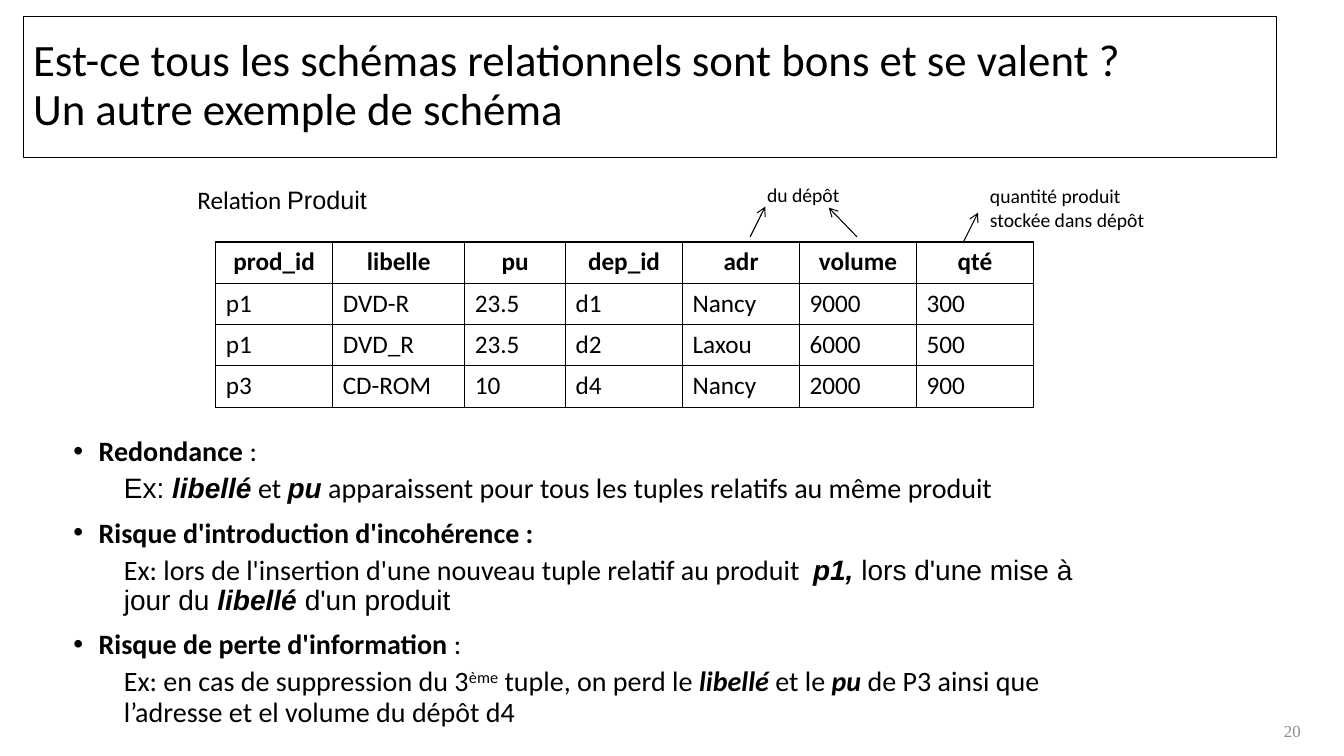
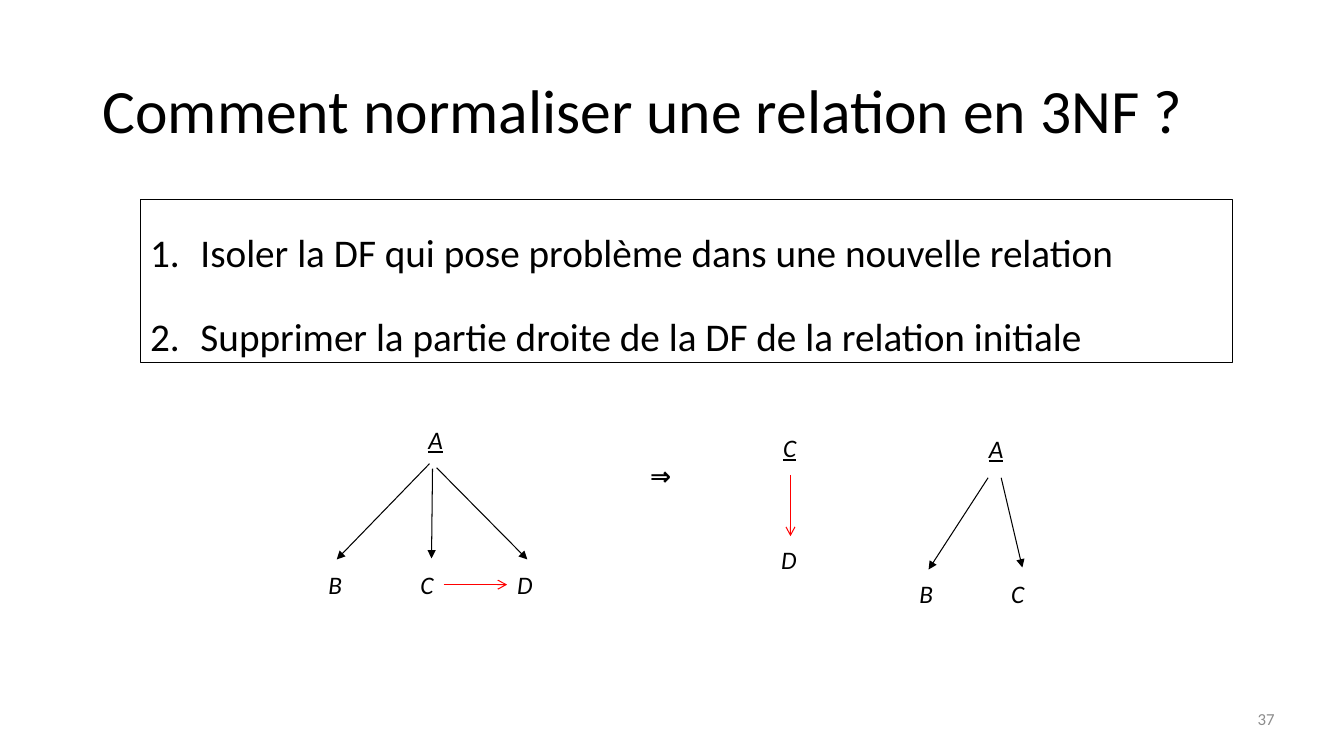
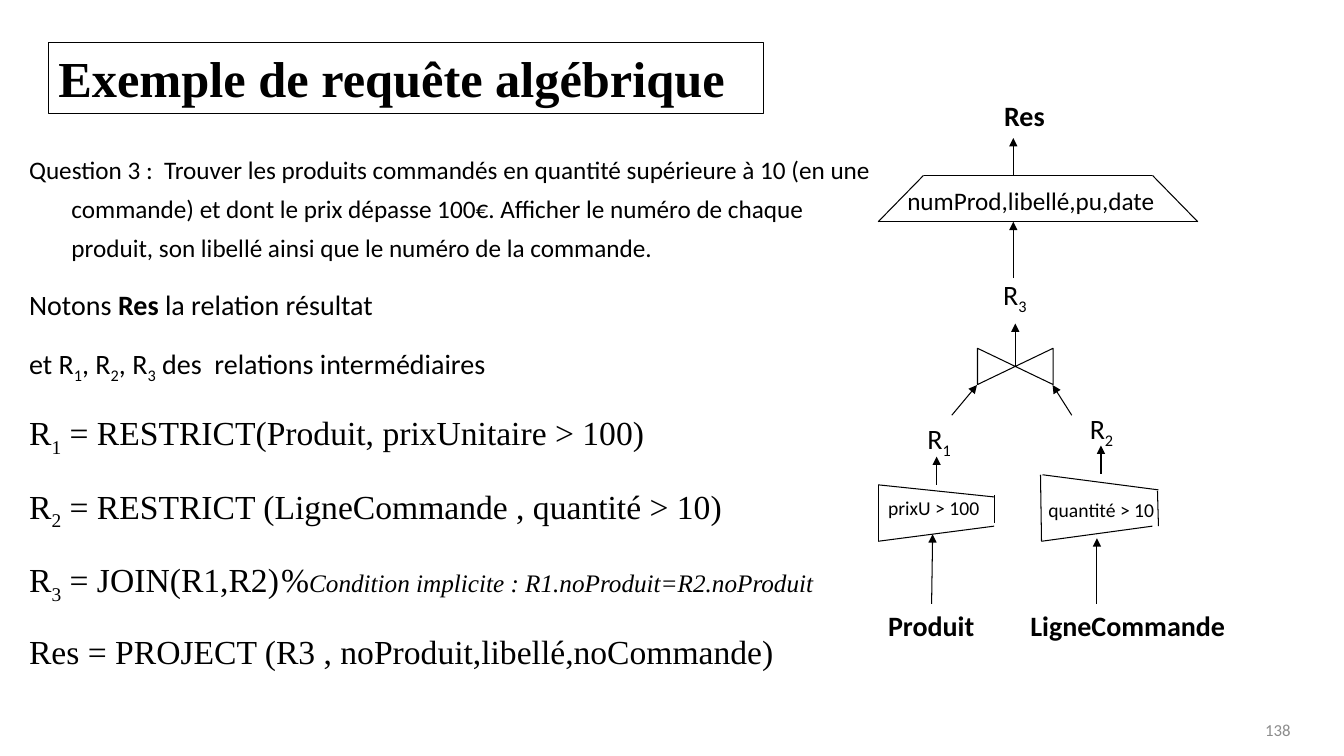
from dataclasses import dataclass
from typing import NamedTuple, Optional

from lxml.etree import SubElement
from pptx import Presentation
from pptx.dml.color import RGBColor
from pptx.enum.shapes import MSO_CONNECTOR as Connector, MSO_SHAPE as Preset
from pptx.enum.text import MSO_ANCHOR as Anchor, MSO_AUTO_SIZE as AutoSize, PP_ALIGN as Align
from pptx.oxml.ns import qn
from pptx.util import Inches, Pt

BLACK, RED, GREY = "000000", "FF0000", "8C8C8C"
CALIBRI, ARIAL, TIMES = "Calibri", "Arial", "Times New Roman"


class Box(NamedTuple):
    left: float
    top: float
    width: float
    height: float


@dataclass(frozen=True)
class Run:
    text: str
    bold: bool = False
    italic: bool = False
    font: Optional[str] = None
    size: Optional[float] = None
    base: int = 0


@dataclass(frozen=True)
class Para:
    runs: tuple
    margin: float = 0
    indent: float = 0
    spacing: float = 1
    before: float = 0
    bullet: str = ""
    tab: float = 0


@dataclass(frozen=True)
class Link:
    start: tuple
    end: tuple
    head: str = ""
    color: str = BLACK


@dataclass(frozen=True)
class Label:
    box: Box
    runs: tuple
    size: float = 18
    wrap: bool = False


@dataclass(frozen=True)
class Node:
    name: str
    left: float
    top: float
    width: float
    key: bool = False


def rgb(color: str) -> RGBColor:
    return RGBColor.from_string(color)


def lengths(values: tuple) -> list:
    return [Inches(value) for value in values]


def format_paragraph(paragraph, para: Para, first: bool) -> None:
    properties = paragraph._p.get_or_add_pPr()
    properties.set("marL", str(Inches(para.margin)))
    properties.set("indent", str(Inches(para.indent)))
    paragraph.line_spacing = para.spacing
    paragraph.space_before = Pt(0 if first else para.before)
    if para.bullet == "1.":
        SubElement(properties, qn("a:buAutoNum"), type="arabicPeriod")
    elif para.bullet:
        SubElement(properties, qn("a:buFont"), typeface=ARIAL)
        SubElement(properties, qn("a:buChar"), char=para.bullet)
    if para.tab:
        stops = SubElement(properties, qn("a:tabLst"))
        SubElement(stops, qn("a:tab"), pos=str(Inches(para.tab)), algn="l")


def write_paras(frame, paras, *, font=CALIBRI, size=18, color=BLACK, bold=False,
                italic=False, underline=False, align=Align.LEFT) -> None:
    for index, para in enumerate(paras):
        if isinstance(para, str):
            para = Para((Run(para),))
        paragraph = frame.add_paragraph() if index else frame.paragraphs[0]
        format_paragraph(paragraph, para, index == 0)
        paragraph.alignment = align
        for part in para.runs:
            for number, line in enumerate(part.text.split("\n")):
                if number:
                    paragraph.add_line_break()
                run = paragraph.add_run()
                run.text = line
                run.font.name = part.font or font
                run.font.size = Pt(part.size or size)
                run.font.color.rgb = rgb(color)
                run.font.bold = bold or part.bold
                run.font.italic = italic or part.italic
                run.font.underline = underline
                if part.base:
                    run.font._element.set("baseline", str(part.base * 1000))


def put_text(slide, box: Box, paras, *, anchor=Anchor.TOP, wrap=True, grow=False,
             outline=0.0, **style):
    shape = slide.shapes.add_textbox(*lengths(box))
    frame = shape.text_frame
    frame.word_wrap = wrap
    frame.auto_size = AutoSize.SHAPE_TO_FIT_TEXT if grow else AutoSize.NONE
    frame.vertical_anchor = anchor
    if outline:
        shape.line.color.rgb = rgb(BLACK)
        shape.line.width = Pt(outline)
    write_paras(frame, paras, **style)
    return shape


def put_title(slide, box: Box, text: str, size: float, outline: float = 0) -> None:
    put_text(slide, box, [Para((Run(text),), spacing=0.9)], size=size,
             anchor=Anchor.MIDDLE, outline=outline)


def put_number(slide, right: float, top: float, number: str, font: str = CALIBRI) -> None:
    put_text(slide, Box(right - 3, top, 3, 0.4), [number], font=font, size=12,
             color=GREY, align=Align.RIGHT, anchor=Anchor.MIDDLE)


def put_label(slide, label: Label):
    return put_text(slide, label.box, [Para(label.runs)], size=label.size,
                    wrap=label.wrap, grow=True)


def put_link(slide, link: Link, begin=None, end=None) -> None:
    connector = slide.shapes.add_connector(
        Connector.STRAIGHT, *lengths(link.start + link.end))
    connector.line.color.rgb = rgb(link.color)
    connector.line.width = Pt(0.75)
    if link.head:
        SubElement(connector.line._get_or_add_ln(), qn("a:tailEnd"), type=link.head)
    SubElement(connector._element.spPr, qn("a:effectLst"))
    if begin:
        connector.begin_connect(*begin)
    if end:
        connector.end_connect(*end)


def border_cell(cell) -> None:
    properties = cell._tc.get_or_add_tcPr()
    for side in ("lnL", "lnR", "lnT", "lnB"):
        edge = SubElement(properties, qn(f"a:{side}"), w=str(Pt(1)))
        fill = SubElement(edge, qn("a:solidFill"))
        SubElement(fill, qn("a:srgbClr"), val=BLACK)
    cell.fill.background()


def put_table(slide, left: float, top: float, widths: tuple, row_height: float, rows) -> None:
    area = Box(left, top, sum(widths), row_height * len(rows))
    table = slide.shapes.add_table(len(rows), len(widths), *lengths(area)).table
    table.first_row = table.horz_banding = False
    for column, width in zip(table.columns, widths):
        column.width = Inches(width)
    for row, values in enumerate(rows):
        table.rows[row].height = Inches(row_height)
        for column, value in enumerate(values):
            cell = table.cell(row, column)
            write_paras(cell.text_frame, [value], bold=row == 0,
                        align=Align.LEFT if row else Align.CENTER)
            border_cell(cell)


def risk(*runs: Run) -> Para:
    return Para(runs, 0.25, -0.25, 0.9, 10, "•")


def example(*runs: Run) -> Para:
    return Para(runs, 0.5, 0, 0.9, 5)


def build_schema(slide) -> None:
    put_number(slide, 13, 7.05, "20", TIMES)
    put_title(slide, Box(0.23, 0.16, 12.43, 1.4),
              "Est-ce tous les schémas relationnels sont bons et se valent ?\n"
              "Un autre exemple de schéma", 32, 0.25)
    put_text(slide, Box(0.63, 4.29, 10.12, 2.87), [
        risk(Run("Redondance", bold=True), Run(" :")),
        example(Run("Ex: ", font=ARIAL), Run("libellé", True, True, ARIAL), Run(" et "),
                Run("pu", True, True, ARIAL),
                Run(" apparaissent pour tous les tuples relatifs au même produit")),
        risk(Run("Risque d'introduction d'incohérence :", bold=True)),
        example(Run("Ex: lors de l'insertion d'une nouveau tuple relatif au produit  "),
                Run("p1, ", True, True, ARIAL),
                Run("lors d'une mise à jour du ", font=ARIAL),
                Run("libellé", True, True, ARIAL), Run(" d'un produit", font=ARIAL)),
        risk(Run("Risque de perte d'information", bold=True), Run(" :")),
        example(Run("Ex: en cas de suppression du 3"), Run("ème", base=30),
                Run(" tuple, on perd le "), Run("libellé", True, True), Run(" et le "),
                Run("pu", True, True),
                Run(" de P3 ainsi que l’adresse et el volume du dépôt d4")),
    ], size=20)
    put_label(slide, Label(Box(1.86, 1.78, 1.9, 0.4),
                           (Run("Relation "), Run("Produit", font=ARIAL))))
    put_table(slide, 2.14, 2.4, (1.16, 1.31, 1, 1.16, 1.16, 1.16, 1.16), 0.41, (
        ("prod_id", "libelle", "pu", "dep_id", "adr", "volume", "qté"),
        ("p1", "DVD-R", "23.5", "d1", "Nancy", "9000", "300"),
        ("p1", "DVD_R", "23.5", "d2", "Laxou", "6000", "500"),
        ("p3", "CD-ROM", "10", "d4", "Nancy", "2000", "900"),
    ))
    put_text(slide, Box(9.72, 1.78, 1.75, 0.57), ["quantité produit", "stockée dans dépôt"],
             size=14, wrap=False, grow=True)
    put_label(slide, Label(Box(7.51, 1.77, 0.93, 0.34), (Run("du dépôt"),), 14))
    for start, end in (((9.55, 2.41), (9.7, 2.11)), ((7.44, 2.35), (7.59, 2.05)),
                       ((8.5, 2.35), (8.22, 2.06))):
        put_link(slide, Link(start, end, "arrow"))


def build_normal_form(slide) -> None:
    put_title(slide, Box(0.92, 0.4, 11.5, 1.45), "Comment normaliser une relation en 3NF ?", 44)
    steps = ("Isoler la DF qui pose problème dans une nouvelle relation",
             "Supprimer la partie droite de la DF de la relation initiale")
    put_text(slide, Box(1.39, 1.98, 10.83, 1.62),
             [Para((Run(step),), 0.5, -0.5, 1.5, 10, "1.") for step in steps],
             size=28, outline=0.75)
    put_number(slide, 12.74, 6.93, "37")

    source, target = (
        put_text(slide, Box(node.left, node.top, node.width, 0.4), [node.name],
                 italic=True, underline=node.key, wrap=False, grow=True)
        for node in (Node("C", 4.07, 5.6, 0.33), Node("D", 5.03, 5.6, 0.36)))
    for node in (Node("A", 4.15, 4.16, 0.36, True), Node("B", 3.16, 5.6, 0.34),
                 Node("C", 7.67, 4.24, 0.33, True), Node("D", 7.65, 5.35, 0.36),
                 Node("A", 9.71, 4.25, 0.36, True), Node("B", 9.02, 5.69, 0.34),
                 Node("C", 9.93, 5.69, 0.33)):
        put_text(slide, Box(node.left, node.top, node.width, 0.4), [node.name],
                 italic=True, underline=node.key, wrap=False, grow=True)
    put_label(slide, Label(Box(6.35, 4.52, 0.45, 0.4), (Run("⇒", bold=True),)))

    for start, end in (((4.29, 4.65), (4.28, 5.54)), ((4.26, 4.6), (3.34, 5.55)),
                       ((4.33, 4.64), (5.23, 5.55)), ((9.93, 4.74), (10.14, 5.63)),
                       ((9.8, 4.74), (9.21, 5.65))):
        put_link(slide, Link(start, end, "triangle"))
    put_link(slide, Link((4.4, 5.8), (5.03, 5.8), "arrow", RED), (source, 3), (target, 1))
    put_link(slide, Link((7.84, 4.71), (7.84, 5.32), "arrow", RED))


def step(*runs: Run) -> Para:
    return Para(runs, 0.42, -0.42, 1.3, 10)


def indexed(number: int, font: str = CALIBRI, size: float = 20) -> tuple:
    return Run("R", font=font, size=size), Run(str(number), font=font, size=size, base=-25)


def formula(text: str) -> Run:
    return Run(text, font=TIMES, size=24)


def build_query(slide) -> None:
    put_number(slide, 12.9, 7.04, "138")
    put_text(slide, Box(0.19, 1.39, 8.62, 5.74), [
        step(Run("Question 3 :  Trouver les produits commandés en quantité supérieure à 10 "
                 "(en une commande) et dont le prix dépasse 100€. Afficher le numéro de "
                 "chaque produit, son libellé ainsi que le numéro de la commande.", size=18)),
        step(Run("Notons "), Run("Res", bold=True), Run(" la relation résultat")),
        step(Run("et "), *indexed(1), Run(", "), *indexed(2), Run(", "), *indexed(3),
             Run(" des  relations intermédiaires")),
        step(*indexed(1, TIMES, 24), formula(" = RESTRICT(Produit, prixUnitaire > 100)")),
        step(*indexed(2, TIMES, 24), formula(" = RESTRICT (LigneCommande , quantité > 10)")),
        Para((*indexed(3, TIMES, 24), formula(" = JOIN(R1,R2)\t%"),
              Run("Condition implicite : R1.noProduit=R2.noProduit", False, True, TIMES, 18)),
             spacing=1.3, before=10, tab=2.74),
        step(formula("Res = PROJECT (R3 , noProduit,libellé,noCommande)")),
    ], size=20)

    join = slide.shapes.add_shape(Preset.FLOWCHART_COLLATE, *lengths((9.89, 3.26, 0.36, 0.75)))
    join.rotation = 270
    join.shadow.inherit = False
    join.fill.background()
    join.line.color.rgb = rgb(BLACK)
    join.line.width = Pt(0.75)

    for label in (
        Label(Box(9.1, 4.13, 0.45, 0.44), indexed(1)),
        Label(Box(10.71, 4.03, 0.45, 0.44), indexed(2)),
        Label(Box(9.85, 2.7, 0.45, 0.44), indexed(3)),
        Label(Box(10.12, 5.99, 2.15, 0.44), (Run("LigneCommande", bold=True),), 20),
        Label(Box(9.86, 0.93, 0.61, 0.44), (Run("Res", bold=True),), 20),
        Label(Box(8.71, 4.87, 1.54, 0.34), (Run("prixU > 100"),), 14, True),
        Label(Box(10.3, 4.89, 1.44, 0.34), (Run("quantité > 10"),), 14, True),
        Label(Box(8.9, 1.79, 2.88, 0.4), (Run("numProd,libellé,pu,date"),), 18, True),
    ):
        put_label(slide, label)
    product = put_label(slide, Label(Box(8.71, 5.99, 1.06, 0.44),
                                     (Run("Produit", bold=True),), 20))

    put_link(slide, Link((9.25, 5.99), (9.25, 5.3), "triangle"), (product, 0))
    for start, end in (((10.07, 3.63), (10.07, 3.21)), ((9.44, 4.12), (9.69, 3.82)),
                       ((10.63, 4.12), (10.44, 3.82)), ((10.88, 5.99), (10.88, 5.34)),
                       ((10.92, 4.7), (10.92, 4.42)), ((9.29, 4.81), (9.29, 4.53)),
                       ((10.05, 1.74), (10.05, 1.37)), ((10.05, 2.76), (10.05, 2.2))):
        put_link(slide, Link(start, end, "triangle"))

    projection = ((9.16, 1.74), (11.43, 1.74), (11.88, 2.2), (8.71, 2.2))
    price_filter = (((8.71, 4.81), (9.86, 4.93)), ((9.86, 5.22), (8.71, 5.37)),
                    ((8.71, 4.81), (8.71, 5.37)), ((9.86, 4.91), (9.86, 5.19)))
    quantity_filter = (((10.34, 4.71), (11.49, 4.86)), ((11.43, 5.22), (10.33, 5.37)),
                       ((10.32, 4.71), (10.33, 5.37)), ((11.48, 4.87), (11.49, 5.22)))
    projection_sides = tuple(zip(projection, projection[1:] + projection[:1]))
    for start, end in projection_sides + price_filter + quantity_filter:
        put_link(slide, Link(start, end))

    put_text(slide, Box(0.48, 0.42, 7.09, 0.71), ["Exemple de requête algébrique"],
             font=TIMES, size=36, bold=True, wrap=False, grow=True, outline=0.75)


def main() -> None:
    deck = Presentation()
    deck.slide_width, deck.slide_height = Inches(13.33), Inches(7.5)
    for build in (build_schema, build_normal_form, build_query):
        build(deck.slides.add_slide(deck.slide_layouts[6]))
    deck.save("out.pptx")


if __name__ == "__main__":
    main()
